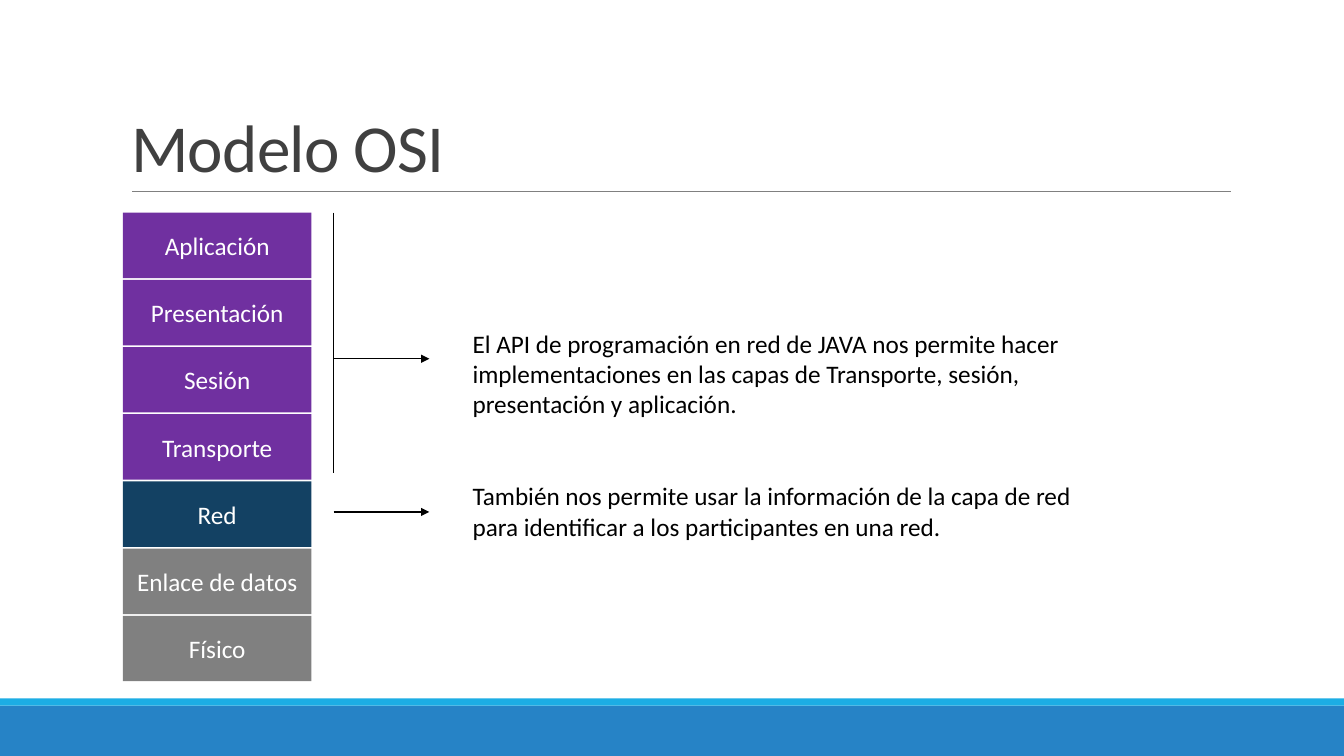
"""Build the slide that shows which OSI layers a network API reaches."""
from dataclasses import dataclass

from lxml import etree
from pptx import Presentation
from pptx.dml.color import RGBColor
from pptx.enum.shapes import MSO_CONNECTOR, MSO_SHAPE
from pptx.enum.text import MSO_ANCHOR, MSO_AUTO_SIZE, PP_ALIGN
from pptx.oxml.ns import qn
from pptx.util import Cm, Pt

RECT, STRAIGHT = MSO_SHAPE.RECTANGLE, MSO_CONNECTOR.STRAIGHT
MIDDLE, BOTTOM = MSO_ANCHOR.MIDDLE, MSO_ANCHOR.BOTTOM
LEFT, CENTER = PP_ALIGN.LEFT, PP_ALIGN.CENTER
NO_FIT = MSO_AUTO_SIZE.NONE


@dataclass(frozen=True)
class Theme:
    font: str = "Calibri"
    title_size: int = 48
    text_size: int = 18
    title: str = "404040"
    text: str = "000000"
    light: str = "FFFFFF"
    api: str = "7030A0"
    network: str = "134163"
    lower: str = "808080"
    rule: str = "808080"
    bar: str = "2683C6"
    stripe: str = "1CADE4"


theme = Theme()


def write(p, text, size, color, align):
    p.alignment = align
    r = p.add_run()
    r.text = text
    font = {"name": theme.font, "size": Pt(size), "bold": False}
    for key, value in font.items():
        setattr(r.font, key, value)
    r.font.color.rgb = RGBColor.from_string(color)
    return r


def add_rect(s, x, y, w, h, color):
    sp = s.shapes.add_shape(RECT, Cm(x), Cm(y), Cm(w), Cm(h))
    sp.shadow.inherit = False
    sp.fill.solid()
    sp.fill.fore_color.rgb = RGBColor.from_string(color)
    sp.line.fill.background()
    return sp


prs = Presentation()
prs.slide_width, prs.slide_height = Cm(33.87), Cm(19.05)
s = prs.slides.add_slide(prs.slide_layouts[5])

add_rect(s, 0, 17.78, 33.87, 1.27, theme.bar)
add_rect(s, 0, 17.6, 33.87, 0.18, theme.stripe)

title = s.shapes.title
place = {"left": Cm(3.05), "top": Cm(0.79), "width": Cm(27.94), "height": Cm(4.04)}
for key, value in place.items():
    setattr(title, key, value)
tf = title.text_frame
for key, value in {"vertical_anchor": BOTTOM, "auto_size": NO_FIT, "word_wrap": True}.items():
    setattr(tf, key, value)
p = tf.paragraphs[0]
p.line_spacing = 0.85
r = write(p, "Modelo OSI", theme.title_size, theme.title, LEFT)
r.font._element.set("spc", "-50")

layers = [
    ("Aplicación", theme.api),
    ("Presentación", theme.api),
    ("Sesión", theme.api),
    ("Transporte", theme.api),
    ("Red", theme.network),
    ("Enlace de datos", theme.lower),
    ("Físico", theme.lower),
]
stack_top, layer_pitch = 5.36, 1.693
for i, (name, color) in enumerate(layers):
    sp = add_rect(s, 3.1, stack_top + i * layer_pitch, 4.75, 1.65, color)
    tf = sp.text_frame
    tf.vertical_anchor, tf.word_wrap = MIDDLE, True
    write(tf.paragraphs[0], name, theme.text_size, theme.light, CENTER)

notes = [
    "El API de programación en red de JAVA nos permite hacer implementaciones "
    "en las capas de Transporte, sesión, presentación y aplicación.",
    "También nos permite usar la información de la capa de red para identificar "
    "a los participantes en una red.",
]
tf = s.shapes.add_textbox(Cm(11.66), Cm(5.05), Cm(16.36), Cm(8.71)).text_frame
tf.vertical_anchor, tf.word_wrap = BOTTOM, True
for i, note in enumerate(notes):
    p = tf.add_paragraph() if i else tf.paragraphs[0]
    p.space_before = Pt(44 * i)
    write(p, note, theme.text_size, theme.text, LEFT)

bracket_x, arrow_end = 8.41, 10.82
lines = [
    (3.33, 4.83, 31.01, 4.83, theme.rule, 0.5, False),
    (bracket_x, stack_top, bracket_x, 11.91, theme.text, 1, False),
    (bracket_x, 9.04, arrow_end, 9.04, theme.text, 1, True),
    (bracket_x, 12.9, arrow_end, 12.9, theme.text, 1, True),
]
for x1, y1, x2, y2, color, width, arrow in lines:
    line = s.shapes.add_connector(STRAIGHT, Cm(x1), Cm(y1), Cm(x2), Cm(y2))
    line.line.color.rgb = RGBColor.from_string(color)
    line.line.width = Pt(width)
    if arrow:
        etree.SubElement(line.line._get_or_add_ln(), qn("a:tailEnd"), type="triangle")
    etree.SubElement(line._element.spPr, qn("a:effectLst"))

prs.save("out.pptx")
